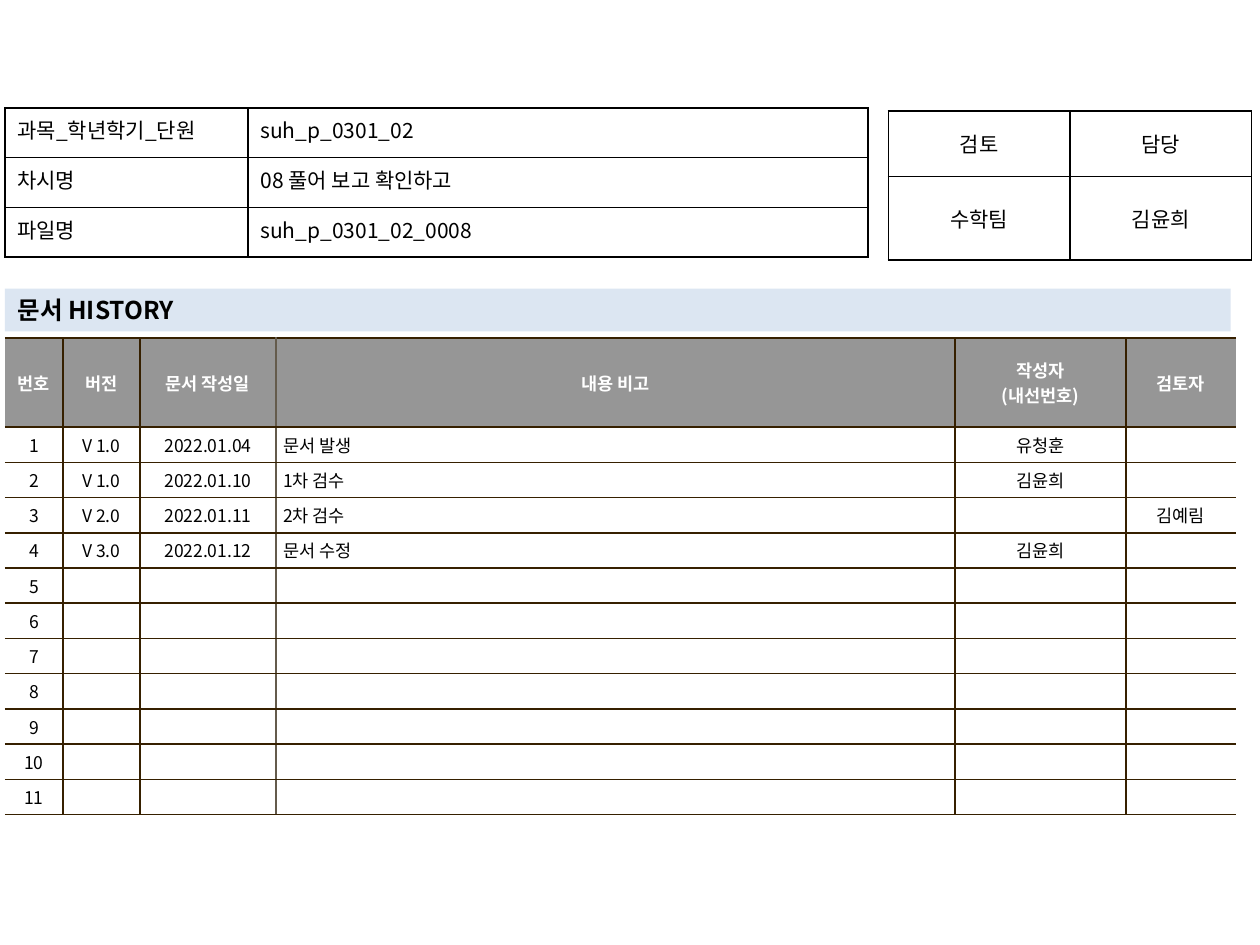
from dataclasses import dataclass
from typing import Optional

from lxml.etree import SubElement
from pptx import Presentation
from pptx.dml.color import RGBColor
from pptx.enum.text import MSO_ANCHOR, MSO_AUTO_SIZE, PP_ALIGN
from pptx.oxml.ns import qn
from pptx.util import Cm, Pt

FONT = "Noto Sans CJK KR"
COLORS = {
    "text": "000000",
    "header_text": "FFFFFF",
    "header": "969696",
    "paper": "FFFFFF",
    "bar": "DCE6F2",
    "grid": "000000",
    "history_grid": "362000",
    "note_edge": "645B4C",
}
HISTORY_HEADER = ["번호", "버전", "문서 작성일", "내용 비고", "작성자\n(내선번호)", "검토자"]
REVISIONS = [
    ("V 1.0", "2022.01.04", "문서 발생", "유청훈", ""),
    ("V 1.0", "2022.01.10", "1차 검수", "김윤희", ""),
    ("V 2.0", "2022.01.11", "2차 검수", "", "김예림"),
    ("V 3.0", "2022.01.12", "문서 수정", "김윤희", ""),
]
HISTORY_LENGTH = 11
NOTE_COLUMN = 3


@dataclass
class Grid:
    """A table; lengths are in centimetres, text size in points."""
    left: float
    top: float
    widths: list[float]
    heights: list[float]
    rows: list[list[str]]
    size: int
    aligns: list[PP_ALIGN]
    anchor: MSO_ANCHOR
    insets: tuple[float, float]
    line: str = "grid"
    has_header: bool = False
    open_sides: bool = False
    edge_column: Optional[int] = None


def add_text(paragraph, text: str, size: int, color: str, bold: bool = False) -> None:
    run = paragraph.add_run()
    run.text = text
    run.font.size = Pt(size)
    run.font.bold = bold
    run.font.name = FONT
    run.font.color.rgb = RGBColor.from_string(COLORS[color])
    SubElement(run.font._element, qn("a:ea"), typeface=FONT)


def set_border(cell_properties, side: str, color: Optional[str]) -> None:
    line = SubElement(cell_properties, qn(f"a:{side}"), w=str(Pt(1)))
    if color is None:
        SubElement(line, qn("a:noFill"))
    else:
        fill = SubElement(line, qn("a:solidFill"))
        SubElement(fill, qn("a:srgbClr"), val=COLORS[color])


def border_colors(grid: Grid, column: int) -> dict[str, Optional[str]]:
    sides = dict.fromkeys(("lnL", "lnR", "lnT", "lnB"), grid.line)
    if grid.open_sides and column == 0:
        sides["lnL"] = None
    if grid.open_sides and column == len(grid.widths) - 1:
        sides["lnR"] = None
    if grid.edge_column is not None:
        if column == grid.edge_column:
            sides["lnL"] = "note_edge"
        elif column == grid.edge_column - 1:
            sides["lnR"] = "note_edge"
    return sides


def format_cell(cell, grid: Grid, row: int, column: int) -> None:
    is_header = grid.has_header and row == 0
    cell.vertical_anchor = grid.anchor
    cell.margin_left = cell.margin_right = Cm(grid.insets[0])
    cell.margin_top = cell.margin_bottom = Cm(grid.insets[1])
    for side, color in border_colors(grid, column).items():
        set_border(cell._tc.get_or_add_tcPr(), side, color)
    cell.fill.solid()
    cell.fill.fore_color.rgb = RGBColor.from_string(
        COLORS["header" if is_header else "paper"])

    for index, text in enumerate(grid.rows[row][column].split("\n")):
        frame = cell.text_frame
        paragraph = frame.add_paragraph() if index else frame.paragraphs[0]
        paragraph.alignment = PP_ALIGN.CENTER if is_header else grid.aligns[column]
        if text:
            add_text(paragraph, text, grid.size,
                     "header_text" if is_header else "text", is_header)
        else:
            # Keeps an empty cell from stretching its row
            SubElement(paragraph._p, qn("a:endParaRPr"), sz=str(grid.size * 100))


def add_grid(slide, grid: Grid) -> None:
    table = slide.shapes.add_table(
        len(grid.heights), len(grid.widths), Cm(grid.left), Cm(grid.top),
        Cm(sum(grid.widths)), Cm(sum(grid.heights))).table
    table.first_row = table.horz_banding = False
    for column, width in zip(table.columns, grid.widths):
        column.width = Cm(width)
    for row, height in zip(table.rows, grid.heights):
        row.height = Cm(height)
    for row in range(len(grid.heights)):
        for column in range(len(grid.widths)):
            format_cell(table.cell(row, column), grid, row, column)


def add_history_title(slide) -> None:
    title = slide.shapes.title
    title.left, title.top = Cm(0.1), Cm(5.82)
    title.width, title.height = Cm(24.71), Cm(0.86)
    title.fill.solid()
    title.fill.fore_color.rgb = RGBColor.from_string(COLORS["bar"])
    frame = title.text_frame
    frame.auto_size = MSO_AUTO_SIZE.NONE
    frame.word_wrap = True
    frame.vertical_anchor = MSO_ANCHOR.MIDDLE
    frame.paragraphs[0].alignment = PP_ALIGN.LEFT
    add_text(frame.paragraphs[0], "문서 HISTORY", 14, "text", True)


def history_rows() -> list[list[str]]:
    rows = [HISTORY_HEADER]
    for number in range(1, HISTORY_LENGTH + 1):
        filled = number <= len(REVISIONS)
        rows.append([str(number), *(REVISIONS[number - 1] if filled else [""] * 5)])
    return rows


def main() -> None:
    presentation = Presentation()
    presentation.slide_width, presentation.slide_height = Cm(25.4), Cm(19.05)
    slide = presentation.slides.add_slide(presentation.slide_layouts[5])

    history_aligns = [PP_ALIGN.CENTER] * len(HISTORY_HEADER)
    history_aligns[NOTE_COLUMN] = PP_ALIGN.LEFT
    history = Grid(
        0.1, 6.81, [1.17, 1.55, 2.74, 13.69, 3.45, 2.21],
        [1.8] + [0.71] * HISTORY_LENGTH, history_rows(), 10, history_aligns,
        MSO_ANCHOR.MIDDLE, (0.15, 0.1), line="history_grid",
        has_header=True, open_sides=True, edge_column=NOTE_COLUMN)
    review = Grid(
        17.91, 2.24, [3.66, 3.66], [1.32, 1.68],
        [["검토", "담당"], ["수학팀", "김윤희"]], 12,
        [PP_ALIGN.CENTER] * 2, MSO_ANCHOR.MIDDLE, (0.25, 0.13))
    lesson = Grid(
        0.1, 2.18, [4.9, 12.5], [1.0] * 3,
        [["과목_학년학기_단원", "suh_p_0301_02"],
         ["차시명", "08 풀어 보고 확인하고"],
         ["파일명", "suh_p_0301_02_0008"]], 12,
        [PP_ALIGN.JUSTIFY, PP_ALIGN.LEFT], MSO_ANCHOR.TOP, (0.25, 0.13))

    add_history_title(slide)
    for grid in (history, review, lesson):
        add_grid(slide, grid)
    presentation.save("out.pptx")


if __name__ == "__main__":
    main()
